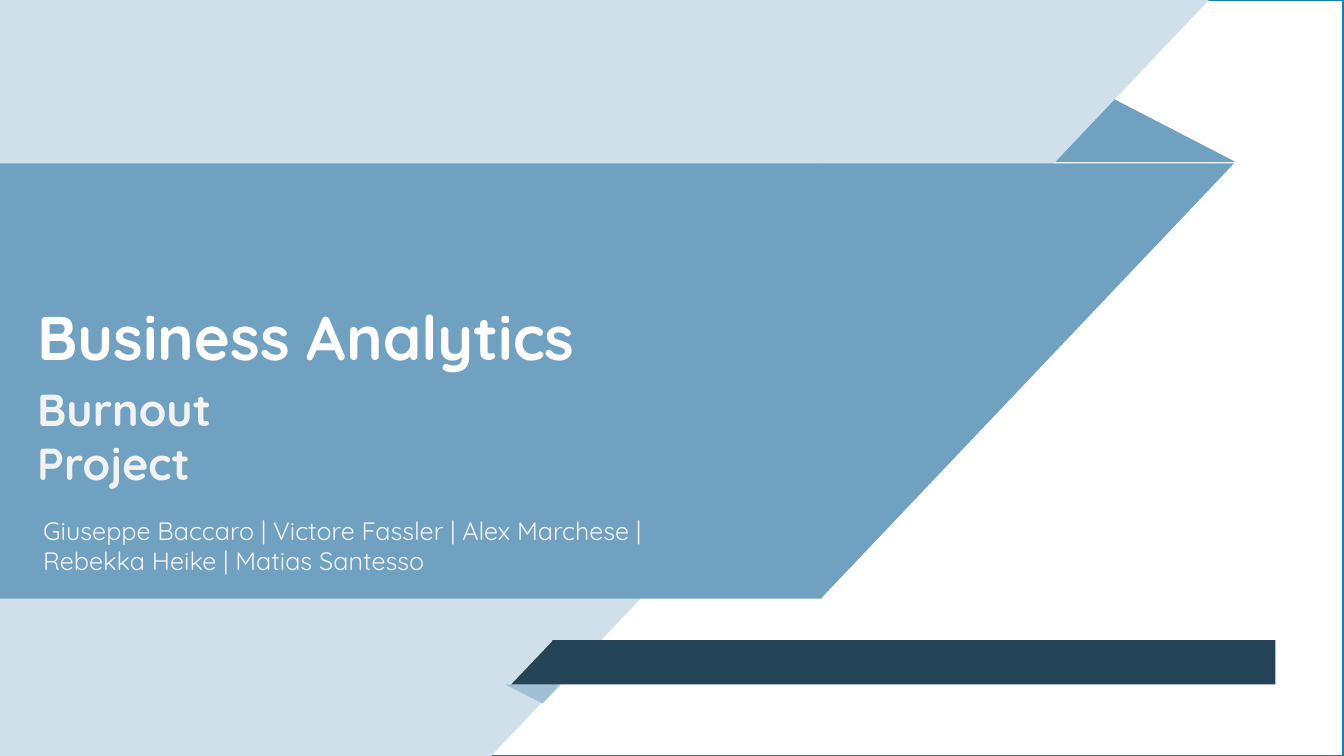
from pptx import Presentation
from pptx.dml.color import RGBColor
from pptx.enum.shapes import MSO_SHAPE
from pptx.enum.text import MSO_ANCHOR, MSO_AUTO_SIZE, PP_ALIGN
from pptx.util import Inches, Pt

WHITE = RGBColor(0xFF, 0xFF, 0xFF)
OFF_WHITE = RGBColor(0xF2, 0xF2, 0xF2)
TEAL = RGBColor(0x15, 0x80, 0xA9)
PALE = RGBColor(0xCF, 0xE0, 0xEA)
BLUE = RGBColor(0x70, 0xA1, 0xC0)
LIGHT_BLUE = RGBColor(0xA0, 0xC1, 0xD5)
NAVY = RGBColor(0x26, 0x44, 0x57)
FOLD_APEX = 0.324


def add_part(parent, kind, box, color, rotation=0, flip=False):
    part = parent.shapes.add_shape(kind, *map(Inches, box))
    part.shadow.inherit = False
    part.fill.solid()
    part.fill.fore_color.rgb = color
    part.line.fill.background()
    part.rotation = rotation
    if flip:
        part._element.spPr.xfrm.set("flipH", "1")
    if kind == MSO_SHAPE.ISOSCELES_TRIANGLE:
        part.adjustments[0] = FOLD_APEX
    return part


def add_frame(page, box):
    frame = add_part(page, MSO_SHAPE.RECTANGLE, box, WHITE)
    frame.line.color.rgb = TEAL
    frame.line.width = Pt(1)


def add_slanted_band(group, box, slant, color):
    left, top, width, height = box
    add_part(group, MSO_SHAPE.RECTANGLE, (left, top, width - slant, height), color)
    add_part(group, MSO_SHAPE.RIGHT_TRIANGLE,
             (left + width - slant - 0.01, top, slant, height), color, 180, True)


def add_footer_bar(group, box):
    left, top, width, height = box
    slant = 0.42
    add_part(group, MSO_SHAPE.ISOSCELES_TRIANGLE,
             (left - 0.06, top + height, 0.55, 0.19), LIGHT_BLUE, 180)
    add_part(group, MSO_SHAPE.RECTANGLE,
             (left + slant - 0.01, top, width - slant, height), NAVY)
    add_part(group, MSO_SHAPE.RIGHT_TRIANGLE, (left, top, slant, height), NAVY, flip=True)


def add_artwork(page):
    group = page.shapes.add_group_shape()
    add_part(group, MSO_SHAPE.ISOSCELES_TRIANGLE, (10.46, 0.98, 1.8, 0.63), BLUE)
    add_slanted_band(group, (0, 0, 12, 7.5), 7.12, PALE)
    add_slanted_band(group, (0, 1.62, 12.25, 4.32), 4.1, BLUE)
    add_footer_bar(group, (5.07, 6.35, 7.59, 0.44))


def add_text(page, box, text, size, color, bold=False):
    frame = page.shapes.add_textbox(*map(Inches, box)).text_frame
    layout = {"word_wrap": True, "auto_size": MSO_AUTO_SIZE.SHAPE_TO_FIT_TEXT,
              "vertical_anchor": MSO_ANCHOR.TOP}
    for name, value in layout.items():
        setattr(frame, name, value)
    para = frame.paragraphs[0]
    para.alignment = PP_ALIGN.LEFT
    span = para.add_run()
    span.text = text
    for name, value in {"name": "Quicksand", "size": Pt(size), "bold": bold}.items():
        setattr(span.font, name, value)
    span.font.color.rgb = color


def add_titles(page, left):
    add_text(page, (left, 2.92, 5.74, 0.84), "Business Analytics", 44, WHITE, True)
    add_text(page, (left, 3.74, 3.4, 0.64), "Burnout Project", 32, OFF_WHITE, True)
    add_text(page, (left + 0.06, 5.06, 6.18, 0.71),
             "Giuseppe Baccaro | Victore Fassler | Alex Marchese | "
             "Rebekka Heike | Matias Santesso", 18, OFF_WHITE)


def main():
    deck = Presentation()
    deck.slide_width = Inches(13.33)
    deck.slide_height = Inches(7.5)
    page = deck.slides.add_slide(deck.slide_layouts[6])
    add_frame(page, (0, 0, 13.32, 7.5))
    add_artwork(page)
    add_titles(page, 0.27)
    deck.save("out.pptx")


if __name__ == "__main__":
    main()
